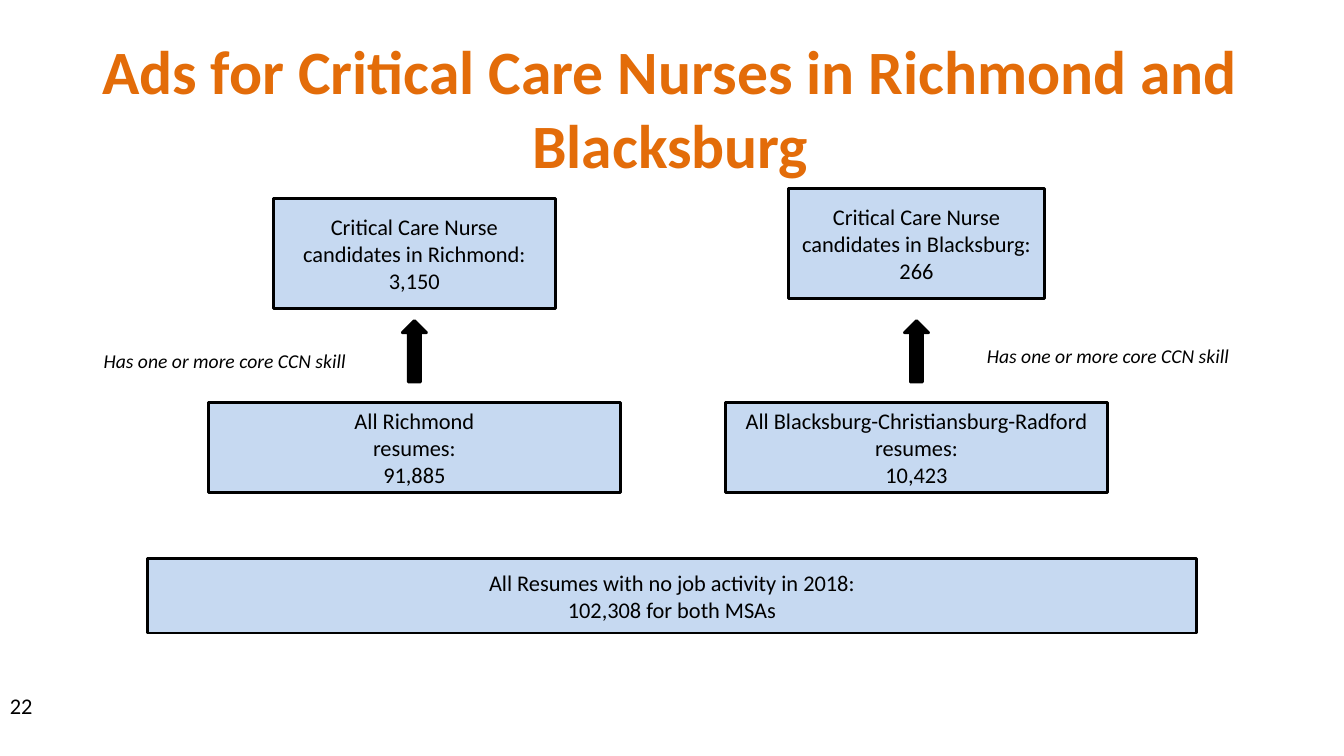
"""Build the slide on resumes of critical care nurses in two areas."""
from pptx import Presentation
from pptx.dml.color import RGBColor
from pptx.enum.shapes import MSO_SHAPE
from pptx.enum.text import MSO_ANCHOR, PP_ALIGN
from pptx.util import Inches, Pt

TITLE = "Ads for Critical Care Nurses in Richmond and Blacksburg"
NOTE = "Has one or more core CCN skill"
PAGE_NUMBER = "22"
FONT = "Calibri"
ORANGE, BLUE, BLACK, WHITE = "E36C09", "C6D9F1", "000000", "FFFFFF"
WIDTH, HEIGHT = 13.33, 7.5

AREAS = [
    {"center": 4.11,
     "candidates": ["Critical Care Nurse candidates in Richmond:", "3,150"],
     "candidates_size": (1.97, 2.8, 1.09),
     "resumes": ["All Richmond", "resumes:", "91,885"],
     "resumes_width": 4.09,
     "note_place": (2.23, 3.41, 2.76, 0.34)},
    {"center": 9.09,
     "candidates": ["Critical Care Nurse candidates in Blacksburg:", "266"],
     "candidates_size": (1.87, 2.54, 1.09),
     "resumes": ["All Blacksburg-Christiansburg-Radford resumes:", "10,423"],
     "resumes_width": 3.79,
     "note_place": (10.99, 3.3, 3.1, 0.45)},
]
TOTAL = ["All Resumes with no job activity in 2018:", "102,308 for both MSAs"]


def color(value):
    return RGBColor.from_string(value)


def write(shape, lines, size=16, ink=BLACK, align=PP_ALIGN.CENTER,
          anchor=MSO_ANCHOR.MIDDLE, bold=False, italic=False):
    frame = shape.text_frame
    frame.word_wrap = True
    frame.vertical_anchor = anchor
    frame.text = "\n".join(lines)
    for paragraph in frame.paragraphs:
        paragraph.alignment = align
        font = paragraph.font
        font.name, font.size, font.bold, font.italic = FONT, Pt(size), bold, italic
        font.color.rgb = color(ink)


def add_centered(page, center, top, width, height, fill=BLUE, outlined=True,
                 kind=MSO_SHAPE.RECTANGLE):
    shape = page.shapes.add_shape(kind, Inches(center - width / 2), Inches(top),
                                  Inches(width), Inches(height))
    shape.shadow.inherit = False
    shape.fill.solid()
    shape.fill.fore_color.rgb = color(fill)
    if outlined:
        shape.line.color.rgb = color(BLACK)
        shape.line.width = Pt(2)
    else:
        shape.line.fill.background()
    return shape


def add_area(page, area):
    center = area["center"]
    write(add_centered(page, center, 3.99, area["resumes_width"], 0.9), area["resumes"])
    write(add_centered(page, center, *area["candidates_size"]), area["candidates"])
    add_centered(page, center, 3.18, 0.24, 0.61, BLACK, kind=MSO_SHAPE.UP_ARROW)
    note = add_centered(page, *area["note_place"], fill=WHITE, outlined=False)
    write(note, [NOTE], size=14, italic=True)


def main():
    deck = Presentation()
    deck.slide_width, deck.slide_height = Inches(WIDTH), Inches(HEIGHT)
    page = deck.slides.add_slide(deck.slide_layouts[5])

    title = page.shapes.title
    title.left, title.top = Inches(0.65), Inches(0.28)
    title.width, title.height = Inches(12), Inches(1.25)
    write(title, [TITLE], size=44, ink=ORANGE, anchor=MSO_ANCHOR.TOP, bold=True)

    for area in AREAS:
        add_area(page, area)
    write(add_centered(page, WIDTH / 2, 5.54, 10.41, 0.74), TOTAL)

    number = page.shapes.add_textbox(0, Inches(6.82), Inches(3), Inches(0.37))
    write(number, [PAGE_NUMBER], align=PP_ALIGN.LEFT, anchor=MSO_ANCHOR.TOP)
    deck.save("out.pptx")


if __name__ == "__main__":
    main()
